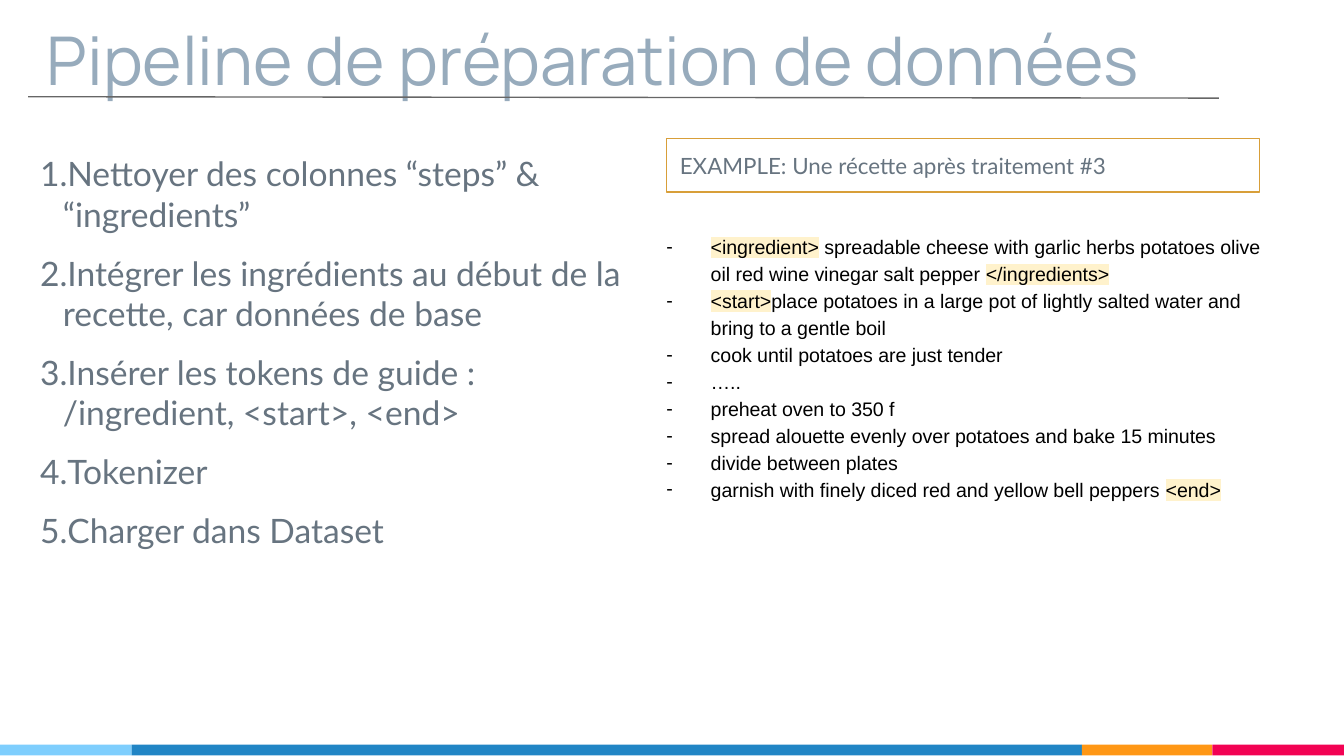
from dataclasses import dataclass
from lxml import etree
from pptx import Presentation
from pptx.dml.color import RGBColor
from pptx.enum.shapes import MSO_CONNECTOR, MSO_SHAPE
from pptx.enum.text import MSO_ANCHOR, PP_ALIGN
from pptx.oxml.ns import qn
from pptx.util import Inches, Pt

RECT = MSO_SHAPE.RECTANGLE
LINE = MSO_CONNECTOR.STRAIGHT
TOP, MIDDLE, BOTTOM = MSO_ANCHOR.TOP, MSO_ANCHOR.MIDDLE, MSO_ANCHOR.BOTTOM
LEFT = PP_ALIGN.LEFT


@dataclass(frozen=True)
class Theme:
    title: str = "97ABBC"
    body: str = "677480"
    black: str = "000000"
    gold: str = "D89F39"
    mark: str = "FFF2CC"
    rule: str = "666666"
    sky: str = "7ECEFD"
    blue: str = "2185C5"
    orange: str = "FF9715"
    pink: str = "F20253"
    title_size: float = 36
    body_size: float = 18
    label_size: float = 12
    sample_size: float = 10.5
    stroke: float = 0.75


@dataclass(frozen=True)
class Style:
    font: str
    size: float
    color: str
    anchor: MSO_ANCHOR = TOP
    bullet: str = ""
    hang: float = 0
    after: float = 0
    spacing: float = 1


@dataclass(frozen=True)
class Band:
    width: float
    color: str


@dataclass(frozen=True)
class Block:
    left: float
    top: float
    width: float
    height: float
    style: Style
    lines: list


theme = Theme()
heading = Style("Manrope", theme.title_size, theme.title, BOTTOM)
steps = Style("Lato", theme.body_size, theme.body, bullet="number", hang=0.17, after=10)
label = Style("Lato", theme.label_size, theme.body, MIDDLE)
sample = Style("Arial", theme.sample_size, theme.black, bullet="dash", hang=0.33, spacing=1.15)

BULLETS = {
    "number": ("a:buAutoNum", {"type": "arabicPeriod"}),
    "dash": ("a:buChar", {"char": "-"}),
}
TAGS = ("<ingredient>", "</ingredients>", "<start>", "<end>")


def paint(color: str) -> RGBColor:
    return RGBColor.from_string(color)


def assign(target, values: dict) -> None:
    for key, value in values.items():
        setattr(target, key, value)


def add_bullet(para, style: Style) -> None:
    props = para._p.get_or_add_pPr()
    props.set("marL", str(Inches(0.5)))
    props.set("indent", str(-Inches(style.hang)))
    color = etree.SubElement(props, qn("a:buClr"))
    etree.SubElement(color, qn("a:srgbClr"), val=style.color)
    etree.SubElement(props, qn("a:buFont"), typeface=style.font)
    tag, attrs = BULLETS[style.bullet]
    etree.SubElement(props, qn(tag), attrs)


def add_mark(run) -> None:
    mark = etree.Element(qn("a:highlight"))
    etree.SubElement(mark, qn("a:srgbClr"), val=theme.mark)
    run._r.rPr.find(qn("a:solidFill")).addnext(mark)


def write(frame, style: Style, lines: list) -> None:
    edge = Inches(0.1)
    assign(frame, {"word_wrap": True, "vertical_anchor": style.anchor,
                   "margin_left": edge, "margin_right": edge,
                   "margin_top": edge, "margin_bottom": edge})
    for index, parts in enumerate(lines):
        para = frame.add_paragraph() if index else frame.paragraphs[0]
        assign(para, {"alignment": LEFT, "line_spacing": style.spacing,
                      "space_after": Pt(style.after)})
        if style.bullet:
            add_bullet(para, style)
        for text in parts:
            run = para.add_run()
            run.text = text
            assign(run.font, {"name": style.font, "size": Pt(style.size)})
            run.font.color.rgb = paint(style.color)
            if text in TAGS:
                add_mark(run)


def add_text(slide, block: Block) -> None:
    box = slide.shapes.add_textbox(Inches(block.left), Inches(block.top),
                                   Inches(block.width), Inches(block.height))
    write(box.text_frame, block.style, block.lines)


def add_rect(slide, left: float, top: float, width: float, height: float):
    rect = slide.shapes.add_shape(RECT, Inches(left), Inches(top), Inches(width), Inches(height))
    rect.shadow.inherit = False
    return rect


def add_bands(slide, bands: list[Band]) -> None:
    left = 0
    for band in bands:
        rect = add_rect(slide, left, 5.54, band.width, 0.08)
        rect.fill.solid()
        rect.fill.fore_color.rgb = paint(band.color)
        rect.line.fill.background()
        left += band.width


def add_label(slide, block: Block) -> None:
    rect = add_rect(slide, block.left, block.top, block.width, block.height)
    rect.fill.background()
    rect.line.color.rgb = paint(theme.gold)
    rect.line.width = Pt(theme.stroke)
    write(rect.text_frame, block.style, block.lines)


def add_rule(slide) -> None:
    rule = slide.shapes.add_connector(LINE, Inches(0.21), Inches(0.72), Inches(9.07), Inches(0.73))
    rule.line.color.rgb = paint(theme.rule)
    rule.line.width = Pt(theme.stroke)
    etree.SubElement(rule._element.spPr, qn("a:effectLst"))


bands = [Band(0.98, theme.sky), Band(7.07, theme.blue),
         Band(0.97, theme.orange), Band(0.98, theme.pink)]
blocks = [
    Block(0.25, -0.1, 8.86, 0.94, heading, [["Pipeline de préparation de données"]]),
    Block(-0.13, 1.04, 4.94, 3.99, steps, [
        ["Nettoyer des colonnes “steps” & “ingredients”"],
        ["Intégrer les ingrédients au début de la recette, car données de base"],
        ["Insérer les tokens de guide : /ingredient, <start>, <end>"],
        ["Tokenizer"],
        ["Charger dans Dataset"],
    ]),
    Block(4.69, 1.62, 4.94, 2.31, sample, [
        ["<ingredient>",
         " spreadable cheese with garlic herbs potatoes olive oil red wine vinegar salt pepper ",
         "</ingredients>"],
        ["<start>", "place potatoes in a large pot of lightly salted water and bring to a gentle boil"],
        ["cook until potatoes are just tender"],
        ["….."],
        ["preheat oven to 350 f"],
        ["spread alouette evenly over potatoes and bake 15 minutes"],
        ["divide between plates"],
        ["garnish with finely diced red and yellow bell peppers ", "<end>"],
    ]),
]
example = Block(4.96, 1.03, 4.41, 0.4, label, [["EXAMPLE: Une récette après traitement #3"]])

deck = Presentation()
wide = Inches(10)
assign(deck, {"slide_width": wide, "slide_height": wide * 9 // 16})
slide = deck.slides.add_slide(deck.slide_layouts[6])
add_bands(slide, bands)
for block in blocks:
    add_text(slide, block)
add_label(slide, example)
add_rule(slide)
deck.save("out.pptx")
